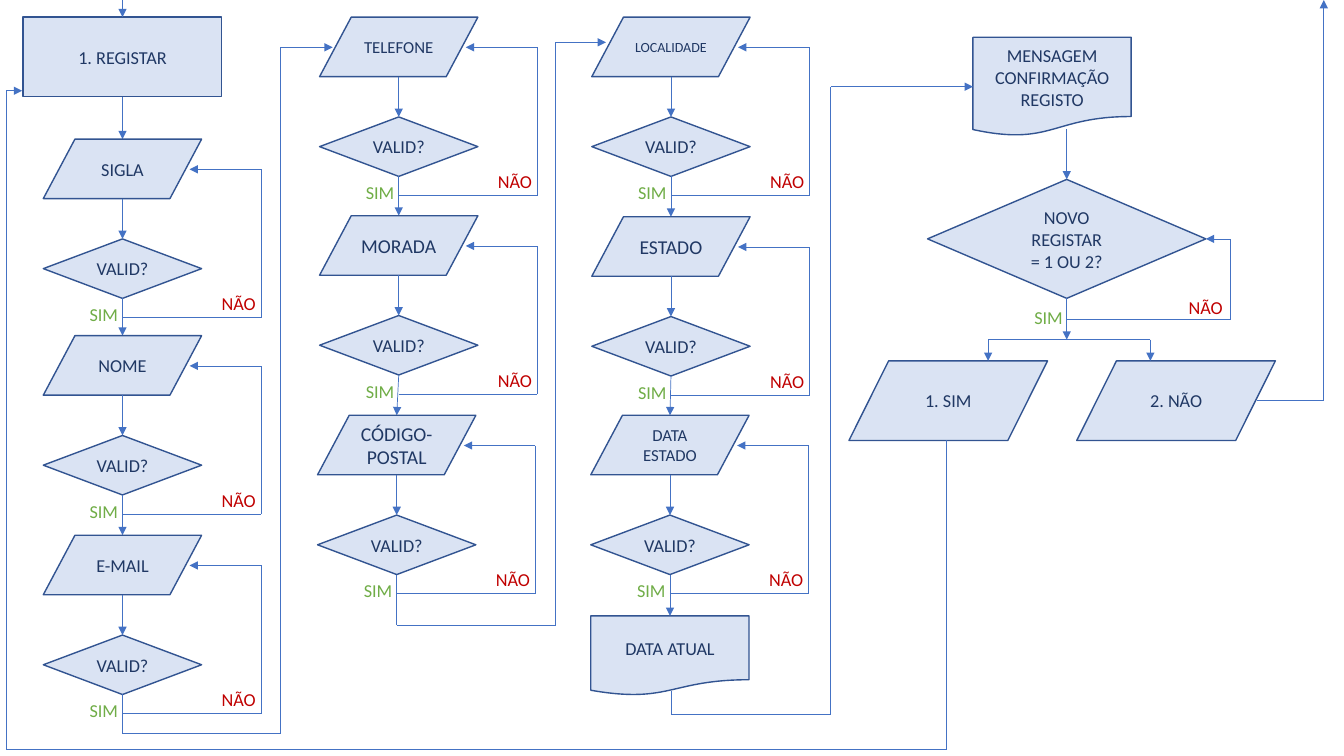
import dataclasses
import itertools
import typing

import pptx
import pptx.dml.color
import pptx.enum.shapes
import pptx.enum.text
import pptx.oxml
import pptx.oxml.ns
import pptx.util

Inches = pptx.util.Inches
Kind = pptx.enum.shapes.MSO_SHAPE
Point = tuple[float, float]
Joint = tuple[typing.Any, int]

FILL, OUTLINE, INK = "DAE3F3", "325491", "203864"
ARROW, YES, NO = "4472C4", "70AD47", "C00000"
TOP, LEFT, BOTTOM, RIGHT = range(4)
STEP_WIDTH, STEP_HEIGHT = 1.57, 0.59


@dataclasses.dataclass
class Step:
    text: str
    left: float
    top: float
    size: float = 13

    @property
    def middle(self) -> float:
        return self.left + STEP_WIDTH / 2


@dataclasses.dataclass
class Column:
    steps: list[Step]
    exit_points: list[Point]


COLUMNS = [
    Column(
        [Step("SIGLA", 0.43, 1.38), Step("NOME", 0.43, 3.33), Step("E-MAIL", 0.43, 5.31)],
        [(1.215, 7.28), (2.78, 7.28), (2.78, 0.47), (3.3, 0.47)],
    ),
    Column(
        [Step("TELEFONE", 3.17, 0.17, 12), Step("MORADA", 3.17, 2.14, 14),
         Step("CÓDIGO-POSTAL", 3.15, 4.12, 14)],
        [(3.935, 6.2), (5.51, 6.2), (5.51, 0.42), (6.01, 0.42)],
    ),
    Column(
        [Step("LOCALIDADE", 5.87, 0.17, 10), Step("ESTADO", 5.87, 2.15, 14),
         Step("DATA ESTADO", 5.86, 4.12, 12)],
        [(6.645, 6.11)],
    ),
]


def colour(value: str) -> pptx.dml.color.RGBColor:
    return pptx.dml.color.RGBColor.from_string(value)


def write_text(box, text: str, *, size: float = 13, ink: str = INK, centred: bool = True) -> None:
    frame = box.text_frame
    frame.word_wrap = True
    for index, line in enumerate(text.split("\n")):
        para = frame.add_paragraph() if index else frame.paragraphs[0]
        if centred:
            para.alignment = pptx.enum.text.PP_ALIGN.CENTER
        span = para.add_run()
        span.text = line
        span.font.name = "Calibri"
        span.font.size = pptx.util.Pt(size)
        span.font.color.rgb = colour(ink)


def draw_shape(page, kind: Kind, left: float, top: float, width: float, height: float,
               text: str, size: float = 13):
    box = page.shapes.add_shape(kind, Inches(left), Inches(top), Inches(width), Inches(height))
    box.shadow.inherit = False
    box.fill.solid()
    box.fill.fore_color.rgb = colour(FILL)
    box.line.color.rgb = colour(OUTLINE)
    box.line.width = pptx.util.Pt(1)
    box.text_frame.vertical_anchor = pptx.enum.text.MSO_ANCHOR.MIDDLE
    write_text(box, text, size=size)
    return box


def draw_label(page, text: str, left: float, top: float, width: float, ink: str) -> None:
    box = page.shapes.add_textbox(Inches(left), Inches(top), Inches(width), Inches(0.32))
    write_text(box, text, ink=ink, centred=False)
    box.text_frame.auto_size = pptx.enum.text.MSO_AUTO_SIZE.SHAPE_TO_FIT_TEXT


def draw_route(page, points: list[Point], arrow: bool = True,
               start: Joint | None = None, end: Joint | None = None) -> None:
    segments = list(itertools.pairwise(points))
    for index, (origin, target) in enumerate(segments):
        last = index == len(segments) - 1
        line = page.shapes.add_connector(
            pptx.enum.shapes.MSO_CONNECTOR.STRAIGHT, *map(Inches, origin + target))
        line.line.color.rgb = colour(ARROW)
        line.line.width = pptx.util.Pt(0.5)
        if start and index == 0:
            line.begin_connect(*start)
        if end and last:
            line.end_connect(*end)
        properties = line._element.spPr
        if arrow and last:
            head = pptx.oxml.parse_xml(
                f'<a:tailEnd {pptx.oxml.ns.nsdecls("a")} type="triangle"/>')
            line.line._get_or_add_ln().append(head)
        properties.append(pptx.oxml.parse_xml(
            f'<a:effectLst {pptx.oxml.ns.nsdecls("a")}/>'))


def draw_step(page, step: Step):
    left, top, middle = step.left, step.top, step.middle
    draw_shape(page, Kind.FLOWCHART_DATA, left, top, STEP_WIDTH, STEP_HEIGHT, step.text, step.size)
    decision = draw_shape(page, Kind.FLOWCHART_DECISION, left, top + 0.99,
                          STEP_WIDTH, STEP_HEIGHT, "VALID?")
    draw_route(page, [(middle, top + STEP_HEIGHT), (middle, top + 0.99)], end=(decision, TOP))
    draw_label(page, "SIM", left + 0.36, top + 1.58, 0.73, YES)
    draw_label(page, "NÃO", left + 1.67, top + 1.47, 0.54, NO)
    right, branch, entry = left + 2.16, top + 1.77, top + 0.3
    draw_route(page, [(middle, branch), (right, branch), (right, entry), (left + 1.45, entry)])
    return decision


def draw_column(page, column: Column, end: Joint | None = None) -> None:
    following = [[(step.middle, step.top)] for step in column.steps[1:]] + [column.exit_points]
    for step, points in zip(column.steps, following):
        decision = draw_step(page, step)
        last = step is column.steps[-1]
        draw_route(page, [(step.middle, step.top + 1.58)] + points,
                   start=(decision, BOTTOM), end=end if last else None)


def draw_confirmation(page, current_date, register) -> None:
    message = draw_shape(page, Kind.FLOWCHART_DOCUMENT, 9.65, 0.37, 1.57, 0.98,
                         "MENSAGEM CONFIRMAÇÃO REGISTO")
    choice = draw_shape(page, Kind.FLOWCHART_DECISION, 9.2, 1.78, 2.76, 1.18,
                        "NOVO REGISTAR\n= 1 OU 2?")
    for text, left in (("1. SIM", 8.42), ("2. NÃO", 10.68)):
        draw_shape(page, Kind.FLOWCHART_DATA, left, 3.58, 1.97, 0.79, text)
    draw_label(page, "SIM", 10.16, 2.99, 0.73, YES)
    draw_label(page, "NÃO", 11.69, 2.89, 0.54, NO)

    draw_route(page, [(6.66, 6.86), (6.66, 7.09), (8.24, 7.09), (8.24, 0.86), (9.65, 0.86)],
               end=(message, LEFT))
    draw_route(page, [(10.58, 1.28), (10.58, 1.78)], end=(choice, TOP))
    draw_route(page, [(10.58, 3.17), (12.2, 3.17), (12.2, 2.37), (11.96, 2.37)],
               end=(choice, RIGHT))
    draw_route(page, [(10.58, 2.96), (10.58, 3.37)], start=(choice, BOTTOM))
    draw_route(page, [(9.8, 3.37), (11.41, 3.37)], arrow=False)
    for x in (9.8, 11.41):
        draw_route(page, [(x, 3.37), (x, 3.58)])
    draw_route(page, [(9.39, 4.37), (9.39, 7.43), (0.06, 7.43), (0.06, 0.9), (0.22, 0.9)])
    draw_route(page, [(12.47, 3.97), (13.13, 3.97), (13.13, 0)])


def main() -> None:
    deck = pptx.Presentation()
    deck.slide_width, deck.slide_height = Inches(13.33), Inches(7.5)
    page = deck.slides.add_slide(deck.slide_layouts[6])

    register = draw_shape(page, Kind.RECTANGLE, 0.23, 0.17, 1.97, 0.79, "1. REGISTAR")
    draw_route(page, [(1.215, 0), (1.215, 0.17)], end=(register, TOP))
    draw_route(page, [(1.215, 0.96), (1.215, 1.38)], start=(register, BOTTOM))
    current_date = draw_shape(page, Kind.FLOWCHART_DOCUMENT, 5.86, 6.11, 1.57, 0.79, "DATA ATUAL")
    for column, end in zip(COLUMNS, (None, None, (current_date, TOP))):
        draw_column(page, column, end)
    draw_confirmation(page, current_date, register)
    deck.save("out.pptx")


if __name__ == "__main__":
    main()
